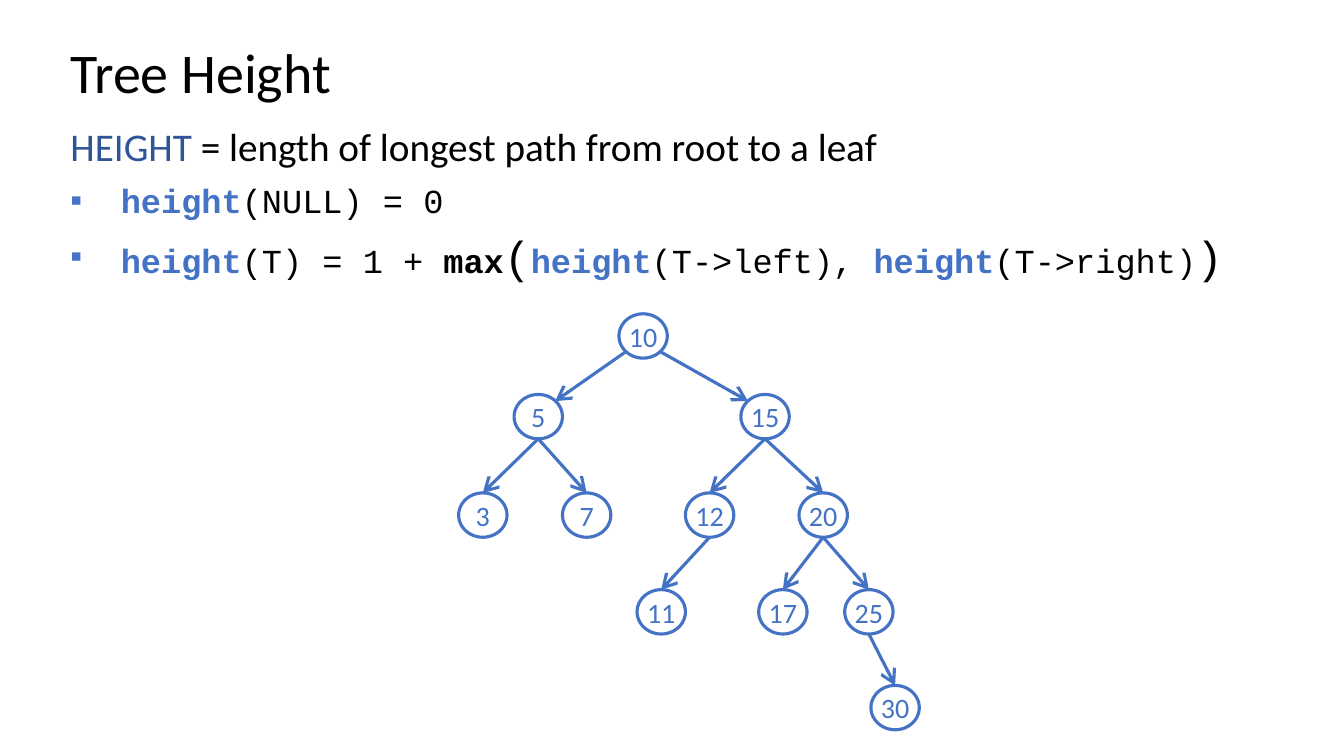
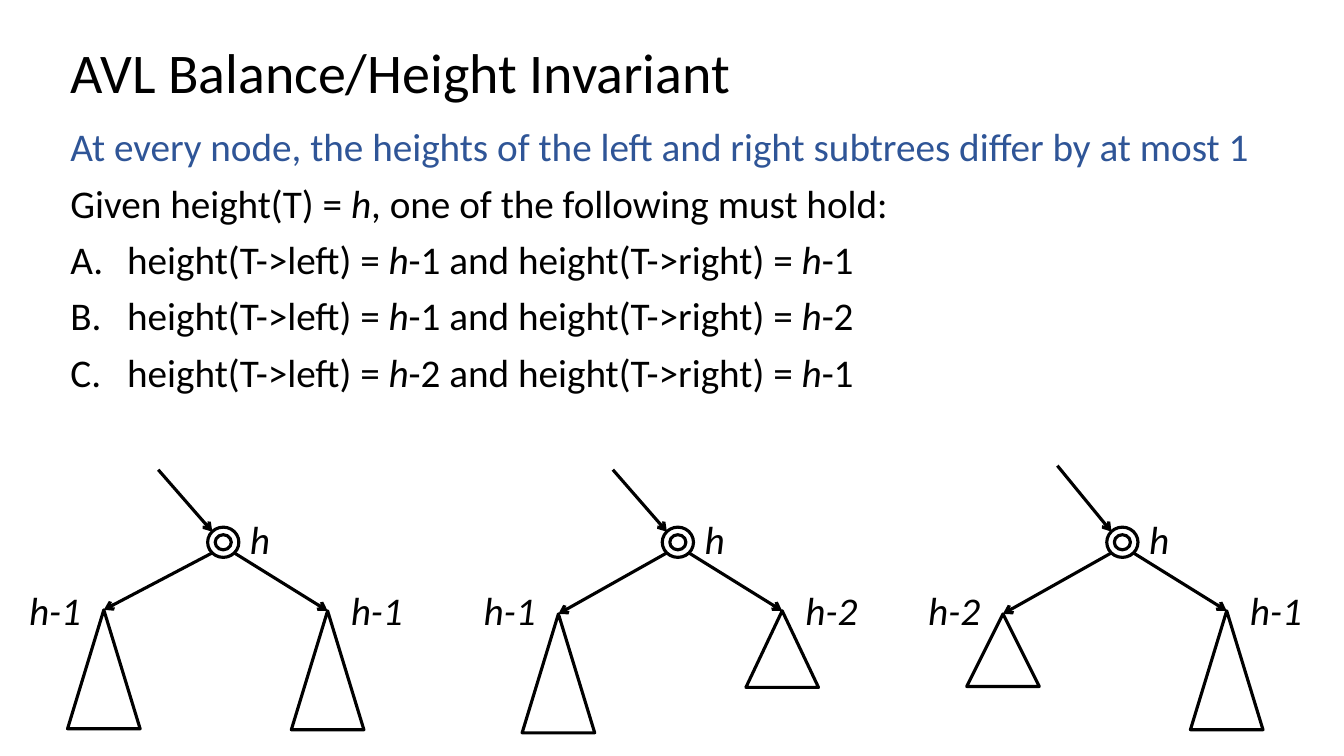
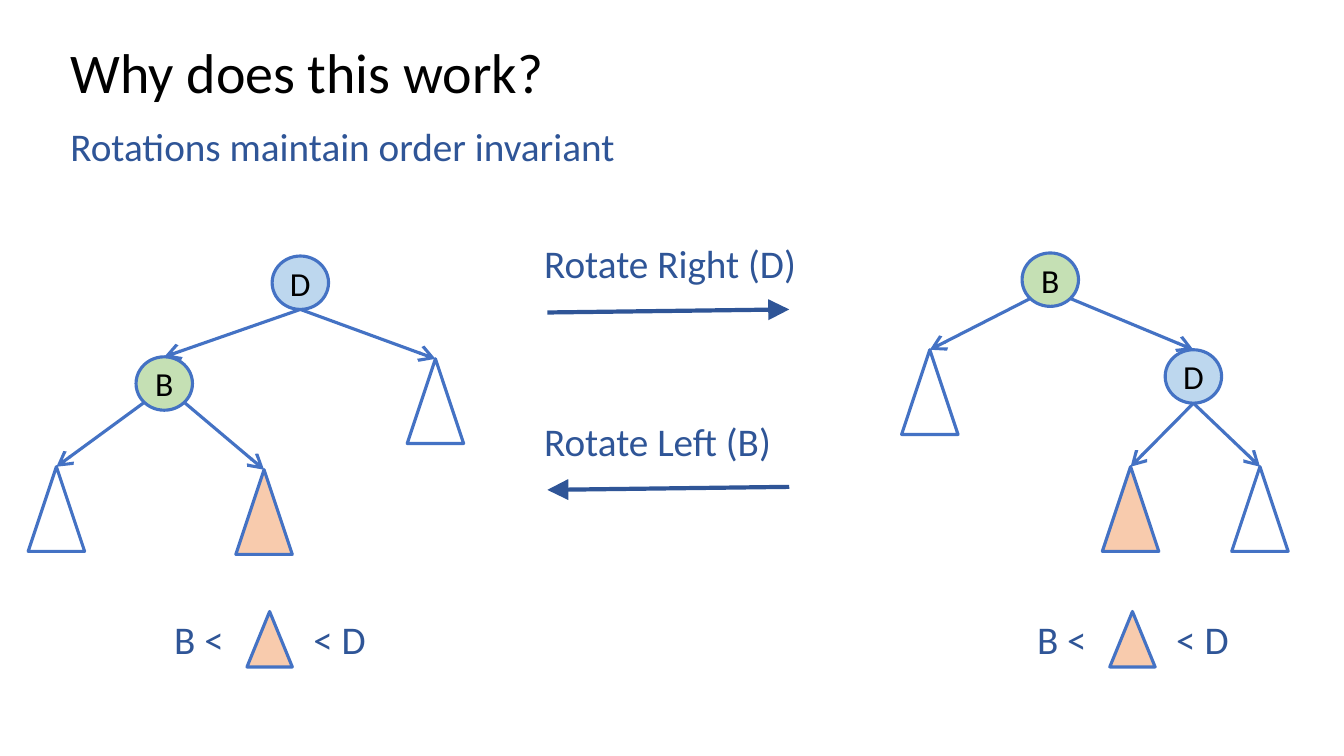
from dataclasses import dataclass
from typing import NamedTuple

from lxml.etree import SubElement
from pptx import Presentation
from pptx.dml.color import RGBColor
from pptx.enum.shapes import MSO_CONNECTOR, MSO_SHAPE
from pptx.enum.text import MSO_ANCHOR, MSO_AUTO_SIZE, PP_ALIGN
from pptx.oxml.ns import qn
from pptx.util import Inches, Pt


# Theme and grid
@dataclass(frozen=True)
class Theme:
    font: str = "Calibri"
    code_font: str = "Courier New"
    black: str = "000000"
    white: str = "FFFFFF"
    blue: str = "4472C4"
    navy: str = "2F5597"
    pale_blue: str = "BDD7EE"
    green: str = "C5E0B4"
    peach: str = "F8CBAD"
    title_pt: float = 40
    body_pt: float = 28
    code_pt: float = 24
    paren_pt: float = 32
    node_pt: float = 20
    outline_pt: float = 2.25
    arrow_pt: float = 3


T = Theme()
COLS, ROWS = 80, 45
CELL = Inches(7.5) / ROWS


def cells(n: float) -> int:
    """Length of n grid cells."""
    return round(n * CELL)


class Box(NamedTuple):
    col: float
    row: float
    cols: float
    rows: float


class Site(NamedTuple):
    """Point on a part, as shares of its size from the centre."""
    dx: float
    dy: float


TOP, BOTTOM = Site(0, -0.5), Site(0, 0.5)
TOP_LEFT, TOP_RIGHT = Site(-0.35, -0.35), Site(0.35, -0.35)
LOW_LEFT, LOW_RIGHT = Site(-0.35, 0.35), Site(0.35, 0.35)


@dataclass(frozen=True)
class Span:
    text: str
    size: float = T.body_pt
    color: str = T.black
    bold: bool = False
    italic: bool = False
    font: str = T.font


@dataclass(frozen=True)
class Line:
    spans: list[Span]
    marker: str = ""  # "square", "letter" or none
    tab: float = 0


@dataclass(frozen=True)
class Part:
    """A node or subtree, placed by its centre."""
    col: float
    row: float
    cols: float
    rows: float
    kind: MSO_SHAPE = MSO_SHAPE.OVAL
    fill: str = ""
    line: str = T.blue
    label: str = ""
    label_pt: float = T.node_pt
    label_color: str = T.black

    def at(self, site: Site) -> tuple[float, float]:
        return self.col + site.dx * self.cols, self.row + site.dy * self.rows


class Link(NamedTuple):
    parent: str
    child: str
    start: Site = BOTTOM
    end: Site = TOP


# Text
def add_run(p, text: str, *, size: float, color: str = T.black, bold: bool = False,
            italic: bool = False, font: str = T.font) -> None:
    r = p.add_run()
    r.text = text
    f = r.font
    f.name, f.size, f.bold, f.italic = font, Pt(size), bold, italic
    f.color.rgb = RGBColor.from_string(color)


def add_marker(p, marker: str) -> None:
    indent = cells(3 if marker == "square" else 3.38)
    pPr = p._p.get_or_add_pPr()
    pPr.set("marL", str(indent))
    pPr.set("indent", str(-indent))
    if marker == "square":
        SubElement(SubElement(pPr, qn("a:buClr")), qn("a:srgbClr"), val=T.blue)
        SubElement(pPr, qn("a:buFont"), typeface="Arial")
        SubElement(pPr, qn("a:buChar"), char="▪")
    else:
        SubElement(pPr, qn("a:buAutoNum"), type="alphaUcPeriod")


def add_text(slide, box: Box, lines: list[Line], *, wrap: bool = True,
             spacing: float = 0.9) -> None:
    tf = slide.shapes.add_textbox(*map(cells, box)).text_frame
    tf.word_wrap = wrap
    for i, line in enumerate(lines):
        p = tf.add_paragraph() if i else tf.paragraphs[0]
        if line.marker:
            add_marker(p, line.marker)
        if line.tab:
            tabs = SubElement(p._p.get_or_add_pPr(), qn("a:tabLst"))
            SubElement(tabs, qn("a:tab"), pos=str(cells(line.tab)), algn="l")
        p.line_spacing = spacing
        if i:
            p.space_before = Pt(10)
        for s in line.spans:
            add_run(p, s.text, size=s.size, color=s.color, bold=s.bold,
                    italic=s.italic, font=s.font)


def start_slide(prs, title: str, body: list[Line], body_cols: float, body_rows: float):
    """Add a title-only slide with its title and body text."""
    slide = prs.slides.add_slide(prs.slide_layouts[5])
    sp = slide.shapes.title
    sp.left, sp.top, sp.width, sp.height = map(cells, Box(3.6, 2.4, 69, 4.14))
    tf = sp.text_frame
    tf.auto_size = MSO_AUTO_SIZE.NONE
    tf.word_wrap = True
    tf.vertical_anchor = MSO_ANCHOR.MIDDLE
    p = tf.paragraphs[0]
    p.alignment, p.line_spacing = PP_ALIGN.LEFT, 0.9
    add_run(p, title, size=T.title_pt)
    add_text(slide, Box(3.6, 7.32, body_cols, body_rows), body)
    return slide


# Drawing
def add_part(slide, part: Part) -> None:
    col, row = part.at(Site(-0.5, -0.5))
    sp = slide.shapes.add_shape(part.kind, *map(cells, (col, row, part.cols, part.rows)))
    sp.shadow.inherit = False
    if part.fill:
        sp.fill.solid()
        sp.fill.fore_color.rgb = RGBColor.from_string(part.fill)
    else:
        sp.fill.background()
    sp.line.color.rgb = RGBColor.from_string(part.line)
    sp.line.width = Pt(T.outline_pt)
    if part.label:
        tf = sp.text_frame
        tf.margin_left = tf.margin_right = tf.margin_top = tf.margin_bottom = 0
        tf.vertical_anchor = MSO_ANCHOR.MIDDLE
        p = tf.paragraphs[0]
        p.alignment = PP_ALIGN.CENTER
        add_run(p, part.label, size=part.label_pt, color=part.label_color)


def add_arrow(slide, start: tuple[float, float], end: tuple[float, float], *,
              color: str = T.blue, width: float = T.outline_pt,
              head: str = "arrow", head_size: str = "lg") -> None:
    sp = slide.shapes.add_connector(MSO_CONNECTOR.STRAIGHT, *map(cells, start + end))
    sp.line.color.rgb = RGBColor.from_string(color)
    sp.line.width = Pt(width)
    SubElement(sp.line._get_or_add_ln(), qn("a:tailEnd"), type=head, w=head_size, len=head_size)
    SubElement(sp._element.spPr, qn("a:effectLst"))


def add_tree(slide, parts: dict[str, Part], links: list[Link], *,
             color: str = T.blue, head_size: str = "lg") -> None:
    for part in parts.values():
        add_part(slide, part)
    for link in links:
        add_arrow(slide, parts[link.parent].at(link.start), parts[link.child].at(link.end),
                  color=color, head_size=head_size)


# Slide 1: height of a search tree
def code(text: str, **fmt) -> Span:
    return Span(text, **{"size": T.code_pt, "font": T.code_font, **fmt})


def height_slide(prs) -> None:
    height = code("height", color=T.blue, bold=True)
    slide = start_slide(prs, "Tree Height", [
        Line([Span("HEIGHT ", color=T.navy),
              Span("= length of longest path from root to a leaf")]),
        Line([height, code("(NULL) = 0")], "square"),
        Line([height, code("(T) = 1 + "), code("max", bold=True),
              code("(", size=T.paren_pt), height, code("(T->left), "), height,
              code("(T->right)"), code(")", size=T.paren_pt)], "square"),
    ], 75.72, 13.38)
    levels = {
        20: {"10": 38.28},
        24.8: {"5": 32.04, "15": 45.54},
        30.66: {"3": 28.74, "7": 34.92, "12": 42.24, "20": 49},
        36.42: {"11": 39.36, "17": 46.6, "25": 51.72},
        42.12: {"30": 53.28},
    }
    nodes = {key: Part(col, row, 2.88, 2.64, label=key, label_color=T.blue)
             for row, level in levels.items() for key, col in level.items()}
    children = {"5": ("3", "7"), "15": ("12", "20"), "12": ("11",),
                "20": ("17", "25"), "25": ("30",)}
    links = [Link("10", "5", LOW_LEFT, TOP_RIGHT), Link("10", "15", LOW_RIGHT, TOP_LEFT)]
    links += [Link(parent, kid) for parent, kids in children.items() for kid in kids]
    add_tree(slide, nodes, links)


# Slide 2: the three balanced cases
class Subtree(NamedTuple):
    label: str
    apex: float
    rows: float


class Case(NamedTuple):
    col: float
    entry_row: float
    left: Subtree
    right: Subtree


def condition(left: int, right: int) -> Line:
    h = Span("h", italic=True)
    return Line([Span("height(T->left) = "), h, Span(f"-{left} and height(T->right) = "),
                 h, Span(f"-{right}")], "letter")


def add_case(slide, case: Case) -> None:
    root = Part(case.col, 32.28, 1.86, 1.8, MSO_SHAPE.DONUT, T.white, T.black)
    parts = {"root": root}
    for side, dx, sub in (("left", -7.11, case.left), ("right", 6.21, case.right)):
        parts[side] = Part(case.col + dx, sub.apex + sub.rows / 2, 4.32, sub.rows,
                           MSO_SHAPE.ISOSCELES_TRIANGLE, T.white, T.black)
    add_tree(slide, parts, [Link("root", "left", LOW_LEFT), Link("root", "right", LOW_RIGHT)],
             color=T.black, head_size="med")
    add_arrow(slide, (case.col - 3.87, case.entry_row), root.at(TOP_LEFT),
              color=T.black, head_size="med")
    for text, dx, row, cols in (("h", 1, 30.36, 2.4), (case.left.label, -12.15, 34.62, 4.32),
                                (case.right.label, 7, 34.62, 4.32)):
        add_text(slide, Box(case.col + dx, row, cols, 3.42),
                 [Line([Span(text, italic=True)])], wrap=False, spacing=1.0)


def invariant_slide(prs) -> None:
    slide = start_slide(prs, "AVL Balance/Height Invariant", [
        Line([Span("At every node, the heights of the left and right subtrees "
                   "differ by at most 1", color=T.navy)]),
        Line([Span("Given height(T) = "), Span("h", italic=True),
              Span(", one of the following must hold:")]),
        condition(1, 1), condition(1, 2), condition(2, 1),
    ], 74.88, 20.4)
    tall_right = Subtree("h-1", 36.36, 7.08)
    for case in (
        Case(13.29, 27.96, Subtree("h-1", 36.3, 7.08), tall_right),
        Case(40.35, 27.96, Subtree("h-1", 36.54, 7.08), Subtree("h-2", 36.36, 4.56)),
        Case(66.81, 27.72, Subtree("h-2", 36.54, 4.32), tall_right),
    ):
        add_case(slide, case)


# Slide 3: rotations
def node(label: str, col: float, row: float) -> Part:
    fill = T.green if label == "B" else T.pale_blue
    return Part(col, row, 3.36, 3.18, fill=fill, label=label, label_pt=T.code_pt)


def subtree(col: float, row: float, fill: str = T.white,
            cols: float = 3.36, rows: float = 5.04) -> Part:
    return Part(col, row, cols, rows, MSO_SHAPE.ISOSCELES_TRIANGLE, fill)


def rotation_slide(prs) -> None:
    slide = start_slide(prs, "Why does this work?", [
        Line([Span("Rotations maintain order invariant", color=T.navy)])], 69, 6.72)
    # Tree with D on top
    add_tree(slide, {
        "D": node("D", 17.88, 16.83), "B": node("B", 9.78, 22.83),
        "low": subtree(3.36, 30.3), "mid": subtree(15.72, 30.48, T.peach),
        "high": subtree(25.92, 23.88),
    }, [Link("D", "B"), Link("D", "high"),
        Link("B", "low", LOW_LEFT), Link("B", "mid", LOW_RIGHT)])
    # Tree with B on top
    add_tree(slide, {
        "B": node("B", 62.52, 16.65), "D": node("D", 71.04, 22.41),
        "low": subtree(55.35, 23.34), "mid": subtree(67.3, 30.3, T.peach),
        "high": subtree(75, 30.3),
    }, [Link("B", "low", LOW_LEFT), Link("B", "D", LOW_RIGHT),
        Link("D", "mid"), Link("D", "high")])
    # Rotation arrows
    for text, row, start, end in (
        ("Rotate Right (D)", 14.28, (32.58, 18.6), (46.98, 18.42)),
        ("Rotate Left (B)", 24.84, (46.98, 28.98), (32.58, 29.16)),
    ):
        add_text(slide, Box(31.8, row, 17.94, 4.14), [Line([Span(text, color=T.navy)])])
        add_arrow(slide, start, end, color=T.navy, width=T.arrow_pt, head="triangle")
    # Order of the middle subtree
    for col in (9.78, 61.14):
        add_text(slide, Box(col, 36.66, 17.94, 4.14),
                 [Line([Span("B <\t< D", color=T.navy)], tab=8.28)])
        add_part(slide, subtree(col + 6.27, 38.05, T.peach, 2.7, 3.3))


def main() -> None:
    prs = Presentation()
    prs.slide_width, prs.slide_height = cells(COLS), cells(ROWS)
    height_slide(prs)
    invariant_slide(prs)
    rotation_slide(prs)
    prs.save("out.pptx")


if __name__ == "__main__":
    main()
